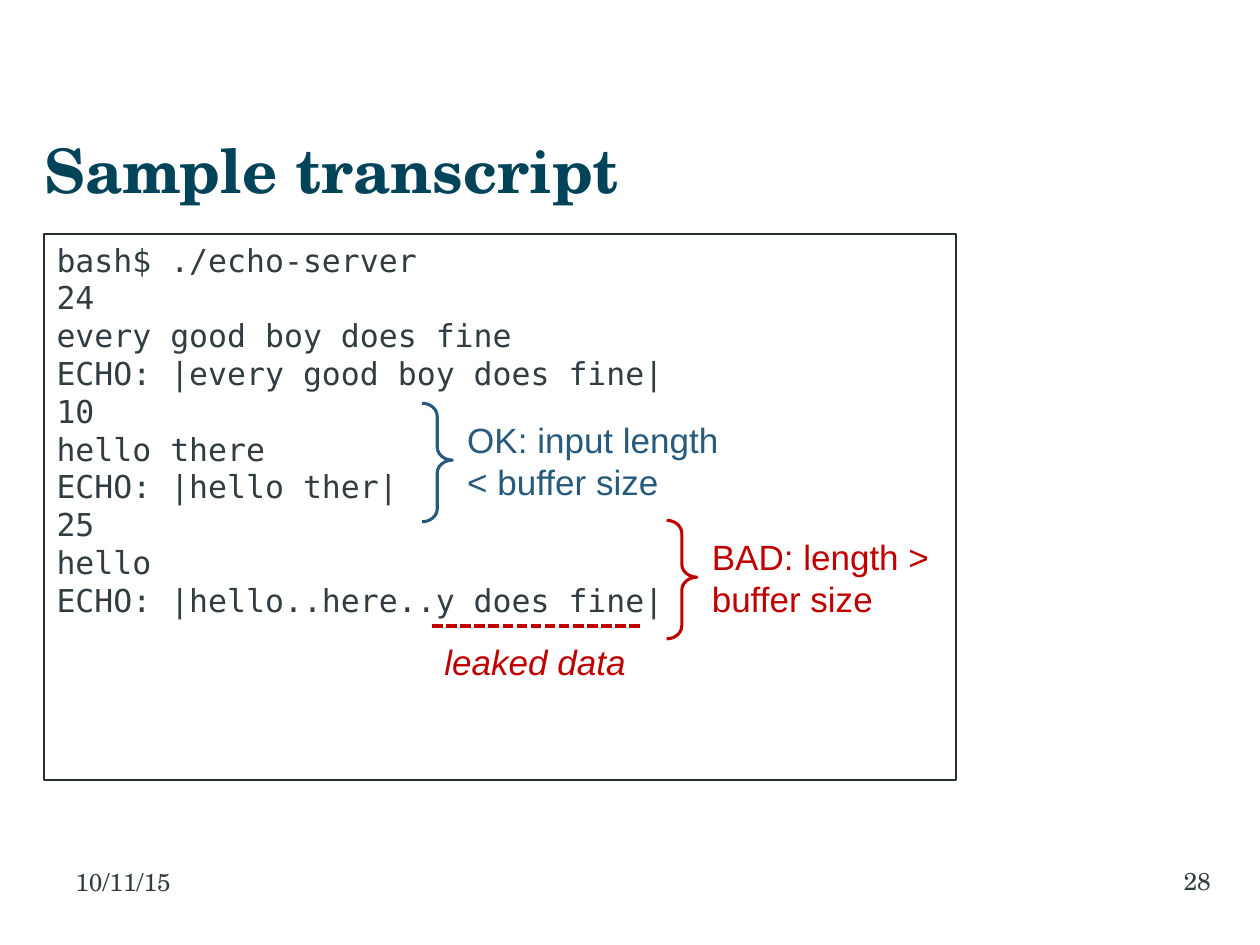
from lxml import etree
from pptx import Presentation
from pptx.dml.color import RGBColor
from pptx.enum.dml import MSO_LINE
from pptx.enum.shapes import MSO_CONNECTOR, MSO_SHAPE
from pptx.enum.text import MSO_ANCHOR, PP_ALIGN
from pptx.oxml.ns import qn
from pptx.util import Cm, Pt

SYS_DASH = MSO_LINE.SQUARE_DOT
STRAIGHT = MSO_CONNECTOR.STRAIGHT
RECTANGLE, RIGHT_BRACE = MSO_SHAPE.RECTANGLE, MSO_SHAPE.RIGHT_BRACE
TOP, MIDDLE = MSO_ANCHOR.TOP, MSO_ANCHOR.MIDDLE
LEFT, RIGHT = PP_ALIGN.LEFT, PP_ALIGN.RIGHT
SERIF, SANS, MONO = "TeX Gyre Schola", "Arial", "DejaVu Sans Mono"
TITLE, INK, FRAME, GOOD, BAD = "014359", "323D43", "262E32", "285A7D", "C00000"
TRANSCRIPT = [
    "bash$ ./echo-server",
    "24",
    "every good boy does fine",
    "ECHO: |every good boy does fine|",
    "10",
    "hello there",
    "ECHO: |hello ther|",
    "25",
    "hello",
    "ECHO: |hello..here..y does fine|",
]
VERDICTS = [
    (8.51, 8.13, "OK: input length < buffer size", GOOD),
    (13.44, 10.49, "BAD: length > buffer size", BAD),
]


def color(value):
    return RGBColor.from_string(value)


class SlideBuilder:
    """Holds the current slide and its text and line style."""

    line_height = 1.2
    inset_x, inset_y = 0.25, 0.13

    def __init__(self, presentation):
        self.slide = presentation.slides.add_slide(presentation.slide_layouts[5])

    def fill_text(self, shape, lines, name, size, ink, align=LEFT, anchor=TOP,
                  left=inset_x, right=inset_x, **font_format):
        frame = shape.text_frame
        settings = {
            "word_wrap": True, "vertical_anchor": anchor,
            "margin_left": Cm(left), "margin_right": Cm(right),
            "margin_top": Cm(self.inset_y), "margin_bottom": Cm(self.inset_y),
        }
        for key, value in settings.items():
            setattr(frame, key, value)
        frame.text = "\n".join(lines)
        font_values = {"name": name, "size": Pt(size), **font_format}
        for paragraph in frame.paragraphs:
            paragraph.alignment = align
            paragraph.line_spacing = Pt(size * self.line_height)
            font = paragraph.runs[0].font
            font.color.rgb = color(ink)
            for key, value in font_values.items():
                setattr(font, key, value)

    def title(self, box, text):
        shape = self.slide.shapes.title
        for key, value in zip(("left", "top", "width", "height"), box):
            setattr(shape, key, Cm(value))
        self.fill_text(shape, [text], SERIF, 35, TITLE, anchor=MIDDLE, left=0, bold=True)

    def text(self, box, text, *style, **options):
        shape = self.slide.shapes.add_textbox(*map(Cm, box))
        self.fill_text(shape, [text], *style, **options)

    def outline(self, kind, box, ink, width):
        shape = self.slide.shapes.add_shape(kind, *map(Cm, box))
        shape.shadow.inherit = False
        shape.fill.background()
        shape.line.color.rgb = color(ink)
        shape.line.width = Pt(width)
        return shape

    def brace(self, box, ink):
        shape = self.outline(RIGHT_BRACE, box, ink, 1.75)
        shape.adjustments[0] = 0.43
        shape.adjustments[1] = 0.48

    def dashed_line(self, left, right, top, ink):
        line = self.slide.shapes.add_connector(
            STRAIGHT, Cm(left), Cm(top), Cm(right), Cm(top))
        line.line.color.rgb = color(ink)
        line.line.width = Pt(2)
        line.line.dash_style = SYS_DASH
        etree.SubElement(line._element.spPr, qn("a:effectLst"))


def main():
    presentation = Presentation()
    presentation.slide_width, presentation.slide_height = Cm(25.4), Cm(19.05)
    builder = SlideBuilder(presentation)
    builder.title((0.89, 2.51, 23.6, 1.8), "Sample transcript")
    builder.text((1.27, 17.35, 5.92, 1.32), "10/11/15", SERIF, 14, INK)
    builder.text((18.49, 17.32, 5.92, 1.32), "28", SERIF, 14, INK, align=RIGHT, right=0)

    terminal = builder.outline(RECTANGLE, (0.89, 4.72, 18.39, 11), FRAME, 1)
    builder.fill_text(terminal, TRANSCRIPT, MONO, 18, INK)

    for left, top, verdict, ink in VERDICTS:
        builder.brace((left, top, 0.61, 2.39), ink)
        builder.text((left + 0.66, top + 0.18, 5.94, 1.96), verdict, SANS, 20, ink)

    builder.dashed_line(8.71, 12.9, 12.62, BAD)
    builder.text((8.71, 12.78, 4.6, 1.12), "leaked data", SANS, 20, BAD, italic=True)
    presentation.save("out.pptx")


if __name__ == "__main__":
    main()
